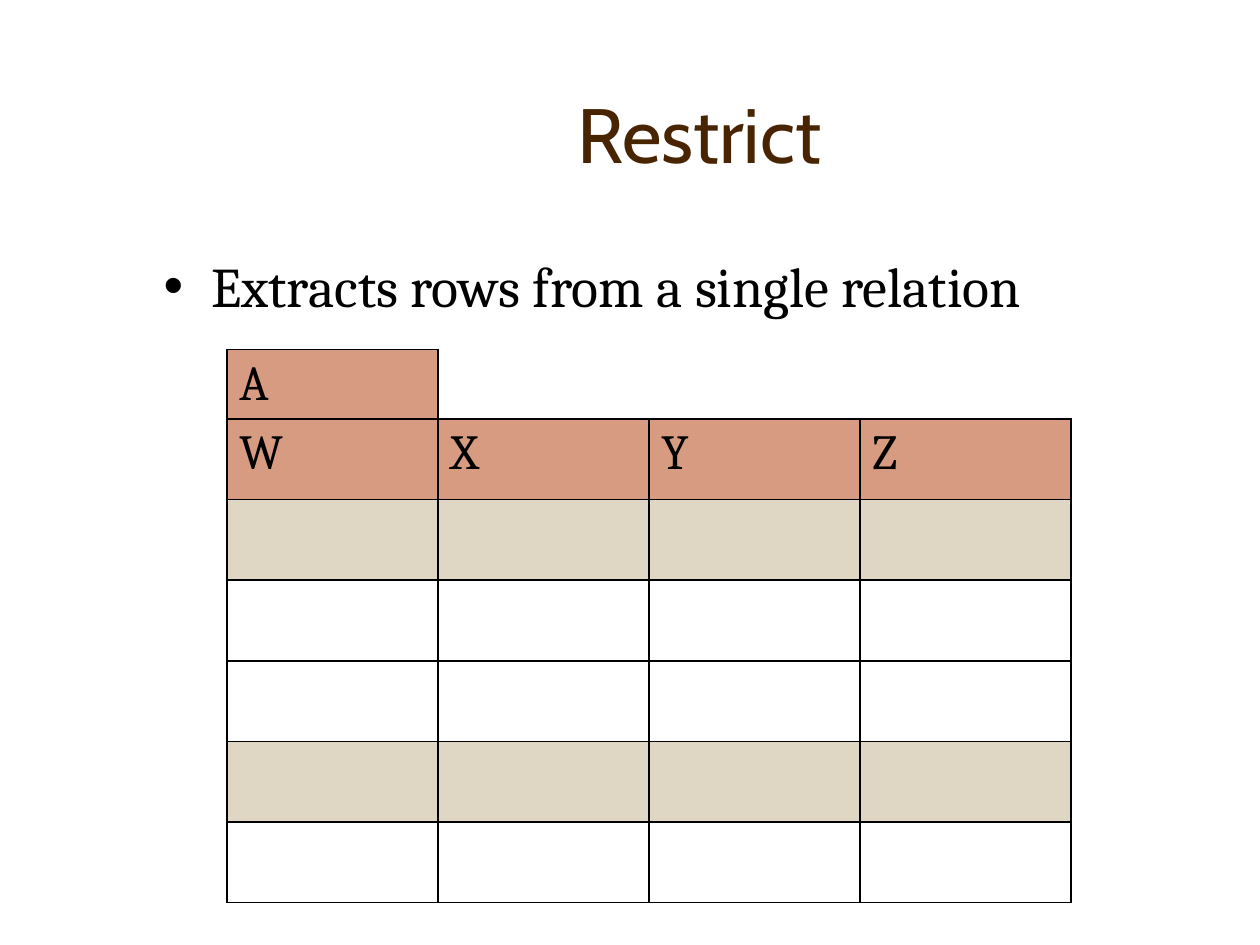
from dataclasses import dataclass

from lxml.etree import SubElement
from pptx import Presentation
from pptx.dml.color import RGBColor
from pptx.enum.text import MSO_ANCHOR, PP_ALIGN
from pptx.oxml.ns import qn
from pptx.util import Inches, Pt

COLORS = {"title": "482400", "black": "000000", "header": "D69B80",
          "selected": "DFD6C3", "plain": "FFFFFF"}
WIDTH, HEIGHT = Inches(10), Inches(7.5)
COLUMNS = 4
NAME_ROW_HEIGHT = Inches(0.55)
ROW_HEIGHT = Inches(0.64)


@dataclass(frozen=True)
class Box:
    """Position and size as shares of the slide."""
    left: float
    top: float
    width: float
    height: float

    def lengths(self):
        return (round(self.left * WIDTH), round(self.top * HEIGHT),
                round(self.width * WIDTH), round(self.height * HEIGHT))


@dataclass(frozen=True)
class RelationRow:
    fill: str
    labels: tuple[str, ...] = ("",) * COLUMNS


TITLE_BOX = Box(0.13, 0.06, 0.85, 0.16)
BODY_BOX = Box(0.12, 0.26, 0.85, 0.6)
TABLE_BOX = Box(0.18, 0.37, 0.67, 0.58)
ROWS = (
    RelationRow("header", ("A",)),
    RelationRow("header", ("W", "X", "Y", "Z")),
    RelationRow("selected"),
    RelationRow("plain"),
    RelationRow("plain"),
    RelationRow("selected"),
    RelationRow("plain"),
)


def rgb(name: str) -> RGBColor:
    return RGBColor.from_string(COLORS[name])


def write(frame, text: str, *, size: int, font="Cambria", color="black",
          align=PP_ALIGN.LEFT, bullet=False, anchor=MSO_ANCHOR.TOP) -> None:
    frame.word_wrap = True
    frame.vertical_anchor = anchor
    paragraph = frame.paragraphs[0]
    paragraph.alignment = align
    if bullet:
        properties = paragraph._p.get_or_add_pPr()
        properties.set("marL", str(Inches(0.38)))
        properties.set("indent", str(-Inches(0.38)))
        SubElement(properties, qn("a:buFont"), typeface="Arial")
        SubElement(properties, qn("a:buChar"), char="•")
    run = paragraph.add_run()
    run.text = text
    run.font.name = font
    run.font.size = Pt(size)
    run.font.color.rgb = rgb(color)


def add_text(slide, box: Box, text: str, **style) -> None:
    write(slide.shapes.add_textbox(*box.lengths()).text_frame, text, **style)


def set_borders(cell, sides: str) -> None:
    """Draw the sides named by L, R, T and B, and clear the rest."""
    properties = cell._tc.get_or_add_tcPr()
    for side in "LRTB":
        line = SubElement(properties, qn(f"a:ln{side}"), w=str(Pt(1)))
        if side in sides:
            fill = SubElement(line, qn("a:solidFill"))
            SubElement(fill, qn("a:srgbClr"), val=COLORS["black"])
        else:
            SubElement(line, qn("a:noFill"))


def add_relation(slide, box: Box, rows: tuple[RelationRow, ...]) -> None:
    table = slide.shapes.add_table(len(rows), COLUMNS, *box.lengths()).table
    table.first_row = table.horz_banding = False
    for column in table.columns:
        column.width = round(box.width * WIDTH / COLUMNS)
    for row_index, row in enumerate(rows):
        table.rows[row_index].height = ROW_HEIGHT if row_index else NAME_ROW_HEIGHT
        for column_index in range(COLUMNS):
            cell = table.cell(row_index, column_index)
            cell.margin_bottom = 0
            if column_index >= len(row.labels):
                set_borders(cell, "LB" if column_index == len(row.labels) else "B")
                cell.fill.background()
                continue
            set_borders(cell, "LRTB")
            cell.fill.solid()
            cell.fill.fore_color.rgb = rgb(row.fill)
            if row.labels[column_index]:
                write(cell.text_frame, row.labels[column_index], size=28)


def main() -> None:
    presentation = Presentation()
    presentation.slide_width, presentation.slide_height = WIDTH, HEIGHT
    slide = presentation.slides.add_slide(presentation.slide_layouts[6])
    add_text(slide, TITLE_BOX, "Restrict", size=44, font="Cabin", color="title",
             align=PP_ALIGN.CENTER, anchor=MSO_ANCHOR.MIDDLE)
    add_text(slide, BODY_BOX, "Extracts rows from a single relation", size=32,
             bullet=True)
    add_relation(slide, TABLE_BOX, ROWS)
    presentation.save("out.pptx")


if __name__ == "__main__":
    main()
